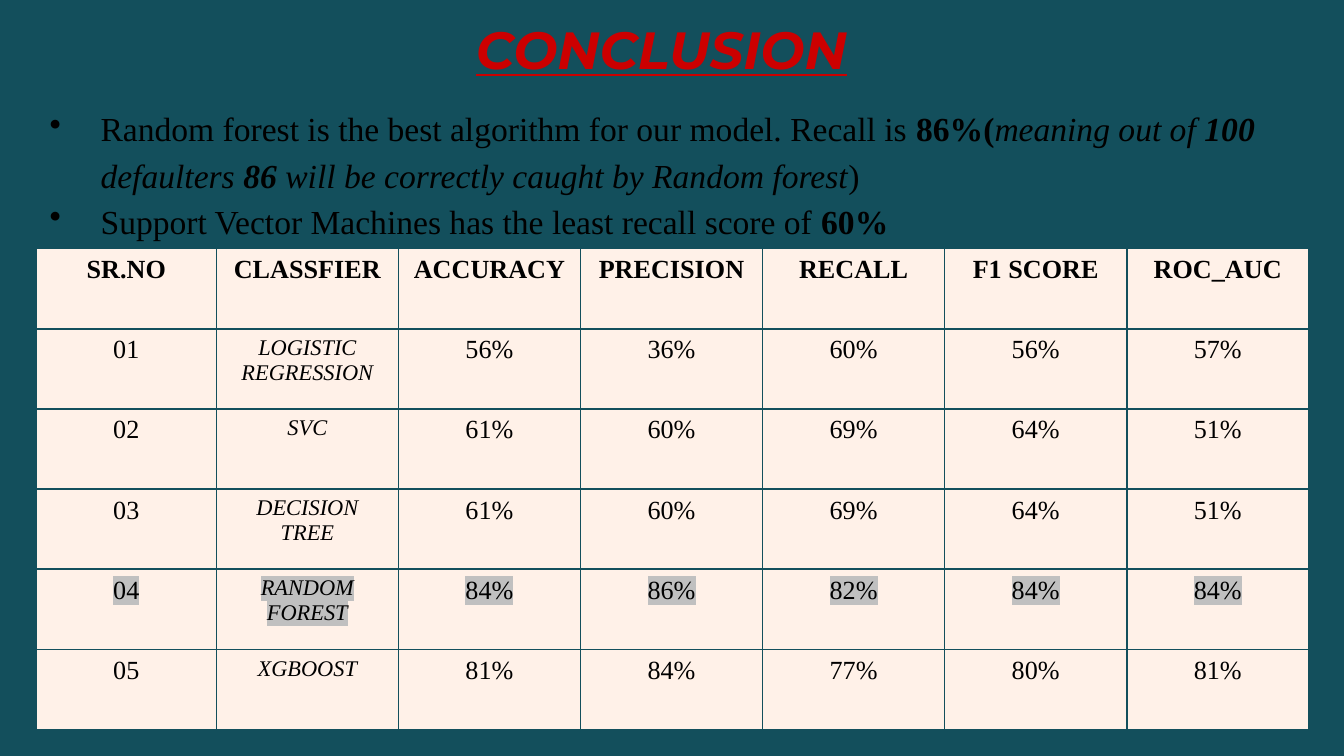
from lxml import etree
from pptx import Presentation
from pptx.dml.color import RGBColor
from pptx.enum.text import PP_ALIGN
from pptx.oxml.ns import qn
from pptx.util import Inches, Pt

CENTER = PP_ALIGN.CENTER
COLORS = {
    "background": "134F5C",
    "title": "CC0000",
    "text": "000000",
    "cell": "FFF1E8",
    "highlight": "C0C0C0",
}
HEADING_FONT = "Montserrat"
BODY_FONT = "Times New Roman"

# Each run is its text and its style: b for bold, i for italic
FINDINGS = [
    [
        ("Random forest is the best algorithm for our model. Recall is ", ""),
        ("86%(", "b"),
        ("meaning out of ", "i"),
        ("100", "bi"),
        (" defaulters ", "i"),
        ("86", "bi"),
        (" will be correctly caught by Random forest", "i"),
        (")", ""),
    ],
    [
        ("Support Vector Machines has the least recall score of ", ""),
        ("60%", "b"),
    ],
]
SCORES = [
    ["SR.NO", "CLASSFIER", "ACCURACY", "PRECISION", "RECALL", "F1 SCORE", "ROC_AUC"],
    ["01", "LOGISTIC\nREGRESSION", "56%", "36%", "60%", "56%", "57%"],
    ["02", "SVC", "61%", "60%", "69%", "64%", "51%"],
    ["03", "DECISION\nTREE", "61%", "60%", "69%", "64%", "51%"],
    ["04", "RANDOM\nFOREST", "84%", "86%", "82%", "84%", "84%"],
    ["05", "XGBOOST", "81%", "84%", "77%", "80%", "81%"],
]
BEST_ROW = 4
CLASSIFIER_COLUMN = 1
FIRST_COLUMN_WIDTH = 1.34


def rgb(name):
    return RGBColor.from_string(COLORS[name])


def add_color(parent, name):
    etree.SubElement(parent, qn("a:srgbClr"), val=COLORS[name])


def add_run(paragraph, text, size, style="", font=BODY_FONT, color="text"):
    run = paragraph.add_run()
    run.text = text
    run.font.size = Pt(size)
    run.font.name = font
    run.font.bold = "b" in style
    run.font.italic = "i" in style
    run.font.underline = "u" in style
    run.font.color.rgb = rgb(color)
    return run


def add_text_frame(slide, left, top, width, height):
    box = slide.shapes.add_textbox(
        Inches(left), Inches(top), Inches(width), Inches(height))
    frame = box.text_frame
    frame.word_wrap = True
    frame.margin_left = frame.margin_right = Inches(0.1)
    frame.margin_top = frame.margin_bottom = Inches(0.1)
    return frame


def add_bullet(paragraph):
    properties = paragraph._p.get_or_add_pPr()
    properties.set("marL", str(Inches(0.5)))
    properties.set("indent", str(Inches(-0.38)))
    add_color(etree.SubElement(properties, qn("a:buClr")), "text")
    etree.SubElement(properties, qn("a:buChar"), char="•")


def highlight(run):
    mark = etree.Element(qn("a:highlight"))
    add_color(mark, "highlight")
    run._r.rPr.find(qn("a:solidFill")).addnext(mark)


def add_borders(cell):
    properties = cell._tc.get_or_add_tcPr()
    for position, side in enumerate(("lnL", "lnR", "lnT", "lnB")):
        line = etree.Element(qn("a:" + side), w=str(Pt(1)))
        add_color(etree.SubElement(line, qn("a:solidFill")), "background")
        properties.insert(position, line)


def add_title(slide, left, top, width, height):
    paragraph = add_text_frame(slide, left, top, width, height).paragraphs[0]
    paragraph.alignment = CENTER
    add_run(paragraph, "CONCLUSION", 28, "biu", HEADING_FONT, "title")


def add_findings(slide, left, top, width, height):
    frame = add_text_frame(slide, left, top, width, height)
    for index, runs in enumerate(FINDINGS):
        paragraph = frame.add_paragraph() if index else frame.paragraphs[0]
        paragraph.line_spacing = 1.15
        add_bullet(paragraph)
        for text, style in runs:
            add_run(paragraph, text, 18, style)


def fill_cell(cell, text, size, style, marked):
    cell.fill.solid()
    cell.fill.fore_color.rgb = rgb("cell")
    add_borders(cell)
    frame = cell.text_frame
    for index, line in enumerate(text.split("\n")):
        paragraph = frame.add_paragraph() if index else frame.paragraphs[0]
        paragraph.alignment = CENTER
        run = add_run(paragraph, line, size, style)
        if marked:
            highlight(run)


def add_score_table(slide, left, top, width, height):
    row_count, column_count = len(SCORES), len(SCORES[0])
    table = slide.shapes.add_table(
        row_count, column_count,
        Inches(left), Inches(top), Inches(width), Inches(height)).table
    # A slightly narrower first column, the rest equal
    other_width = (width - FIRST_COLUMN_WIDTH) / (column_count - 1)
    for index, column in enumerate(table.columns):
        column.width = Inches(other_width if index else FIRST_COLUMN_WIDTH)
    for row, values in enumerate(SCORES):
        for column, text in enumerate(values):
            if row == 0:
                size, style = 14, "b"
            elif column == CLASSIFIER_COLUMN:
                size, style = 12, "i"
            else:
                size, style = 14, ""
            fill_cell(table.cell(row, column), text, size, style, row == BEST_ROW)


def main():
    presentation = Presentation()
    presentation.slide_width = Inches(10)
    presentation.slide_height = presentation.slide_width * 9 // 16
    slide = presentation.slides.add_slide(presentation.slide_layouts[6])
    slide.background.fill.solid()
    slide.background.fill.fore_color.rgb = rgb("background")

    add_title(slide, 0.26, 0.03, 9.32, 0.63)
    add_findings(slide, 0.15, 0.66, 9.32, 1.19)
    add_score_table(slide, 0.27, 1.85, 9.47, 3.58)
    presentation.save("out.pptx")


if __name__ == "__main__":
    main()
